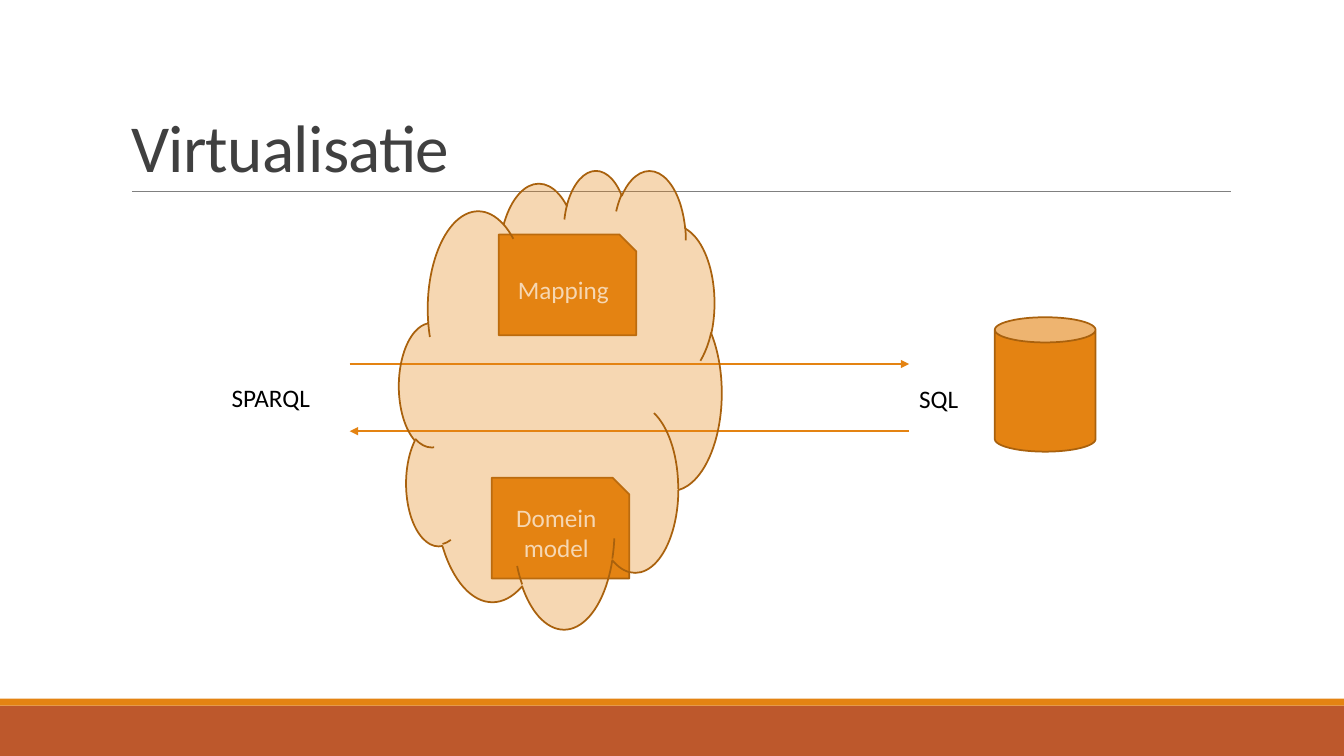
import pptx
import pptx.util
import pptx.dml.color
import pptx.enum.shapes
import pptx.enum.text
import pptx.oxml
import pptx.oxml.ns

Pt = pptx.util.Pt
Kind = pptx.enum.shapes.MSO_SHAPE
Align = pptx.enum.text.PP_ALIGN
Anchor = pptx.enum.text.MSO_ANCHOR

WIDE, HIGH = 960, 540
FONT = "Calibri"
COLORS = {
    "orange": "E48312", "edge": "A9610D", "rust": "BD582C", "rule": "808080",
    "title": "404040", "black": "000000", "white": "FFFFFF",
}
TITLE = ("Virtualisatie", (86.4, 22.3, 792, 114.5))
BANDS = [("rust", (0, 504, WIDE, 36)), ("orange", (0, 499, WIDE, 5))]
RULE = (94.3, 136.8, 879.1, 136.8)
LABELS = [("SPARQL", (158.4, 269.5, 71.3, 29)), ("SQL", (649.4, 270.2, 42.5, 29))]
CAN = (710.6, 226.6, 72, 96)
CARDS = [("Mapping", (356.3, 167.5, 98.2, 72)), ("Domein model", (351.3, 341.2, 98.2, 72))]
LEFT, RIGHT = 249.8, 649.4
ARROWS = [(LEFT, 260, RIGHT, 260), (RIGHT, 308, LEFT, 308)]
CLOUD = (285.1, 121, 230.4, 327.6)
ALPHA = 32


def color(name):
    return pptx.dml.color.RGBColor.from_string(COLORS[name])


def add_xml(node, tag, **attrs):
    child = pptx.oxml.parse_xml(f"<a:{tag} {pptx.oxml.ns.nsdecls('a')}/>")
    for key, value in attrs.items():
        child.set(key, value)
    node.append(child)


def write(frame, text, size, tint, align=Align.LEFT):
    para = frame.paragraphs[0]
    para.text = text
    para.alignment = align
    para.font.name = FONT
    para.font.size = Pt(size)
    para.font.color.rgb = color(tint)
    return para


def add_shape(kind, box, fill, edge=None):
    shape = slide.shapes.add_shape(kind, *map(Pt, box))
    shape.shadow.inherit = False
    shape.fill.solid()
    shape.fill.fore_color.rgb = color(fill)
    if edge:
        shape.line.color.rgb = color(edge)
        shape.line.width = Pt(1.25)
    else:
        shape.line.fill.background()
    return shape


def add_line(ends, tint, width, arrow=False):
    line = slide.shapes.add_connector(
        pptx.enum.shapes.MSO_CONNECTOR.STRAIGHT, *map(Pt, ends))
    line.line.color.rgb = color(tint)
    line.line.width = Pt(width)
    if arrow:
        add_xml(line.line._get_or_add_ln(), "tailEnd", type="triangle")
    add_xml(line._element.spPr, "effectLst")


deck = pptx.Presentation()
deck.slide_width, deck.slide_height = Pt(WIDE), Pt(HIGH)
slide = deck.slides.add_slide(deck.slide_layouts[5])

for tint, box in BANDS:
    add_shape(Kind.RECTANGLE, box, tint)
add_line(RULE, "rule", 0.5)

text, box = TITLE
title = slide.shapes.title
title.left, title.top, title.width, title.height = map(Pt, box)
title.text_frame.vertical_anchor = Anchor.BOTTOM
title.text_frame.word_wrap = True
para = write(title.text_frame, text, 48, "title")
para.line_spacing = 0.85
para.runs[0].font._element.set("spc", "-50")

for text, box in LABELS:
    label = slide.shapes.add_textbox(*map(Pt, box))
    label.text_frame.word_wrap = False
    label.text_frame.auto_size = pptx.enum.text.MSO_AUTO_SIZE.SHAPE_TO_FIT_TEXT
    write(label.text_frame, text, 18, "black")

add_shape(Kind.CAN, CAN, "orange", "edge")

for text, box in CARDS:
    card = add_shape(Kind.SNIP_1_RECTANGLE, box, "orange", "edge")
    card.text_frame.word_wrap = True
    card.text_frame.vertical_anchor = Anchor.MIDDLE
    write(card.text_frame, text, 18, "white", Align.CENTER)

for ends in ARROWS:
    add_line(ends, "orange", 1, arrow=True)

cloud = add_shape(Kind.CLOUD, CLOUD, "orange", "edge")
fill = cloud._element.spPr.find(pptx.oxml.ns.qn("a:solidFill"))
add_xml(fill[0], "alpha", val=str(ALPHA * 1000))

deck.save("out.pptx")
